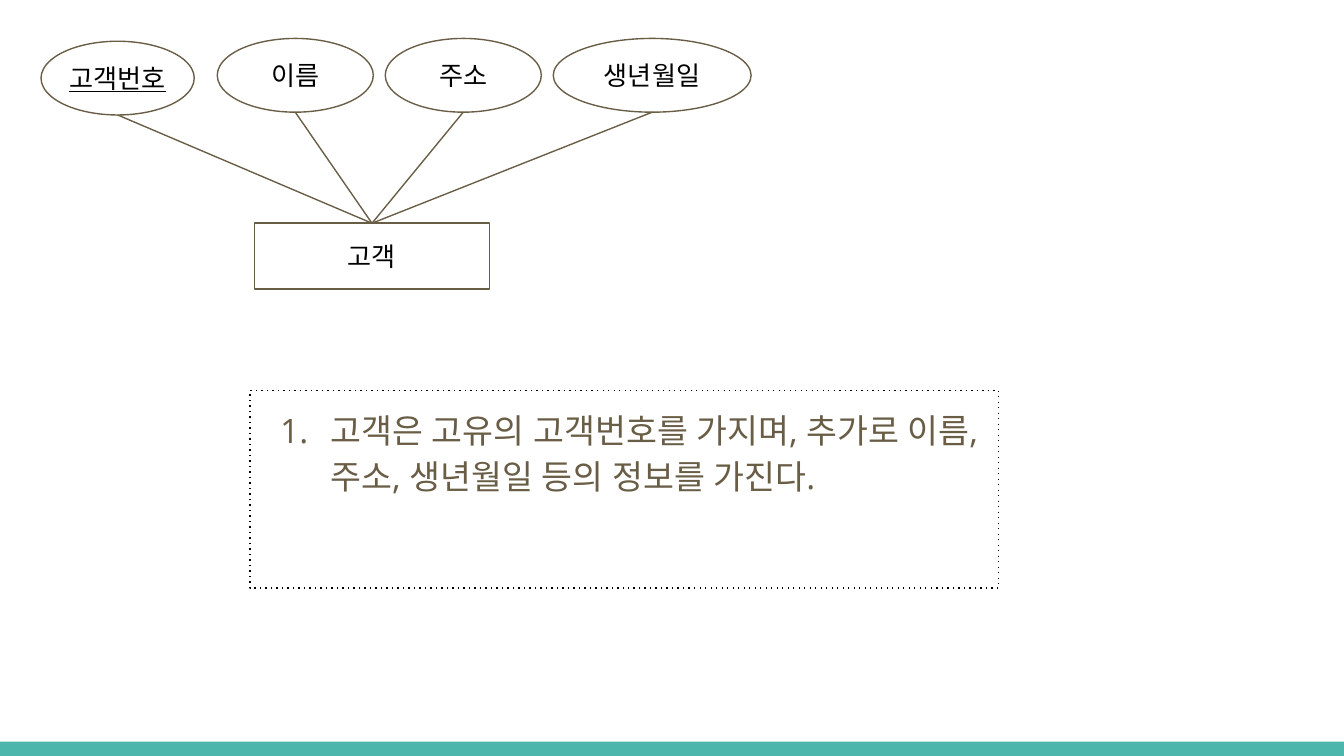
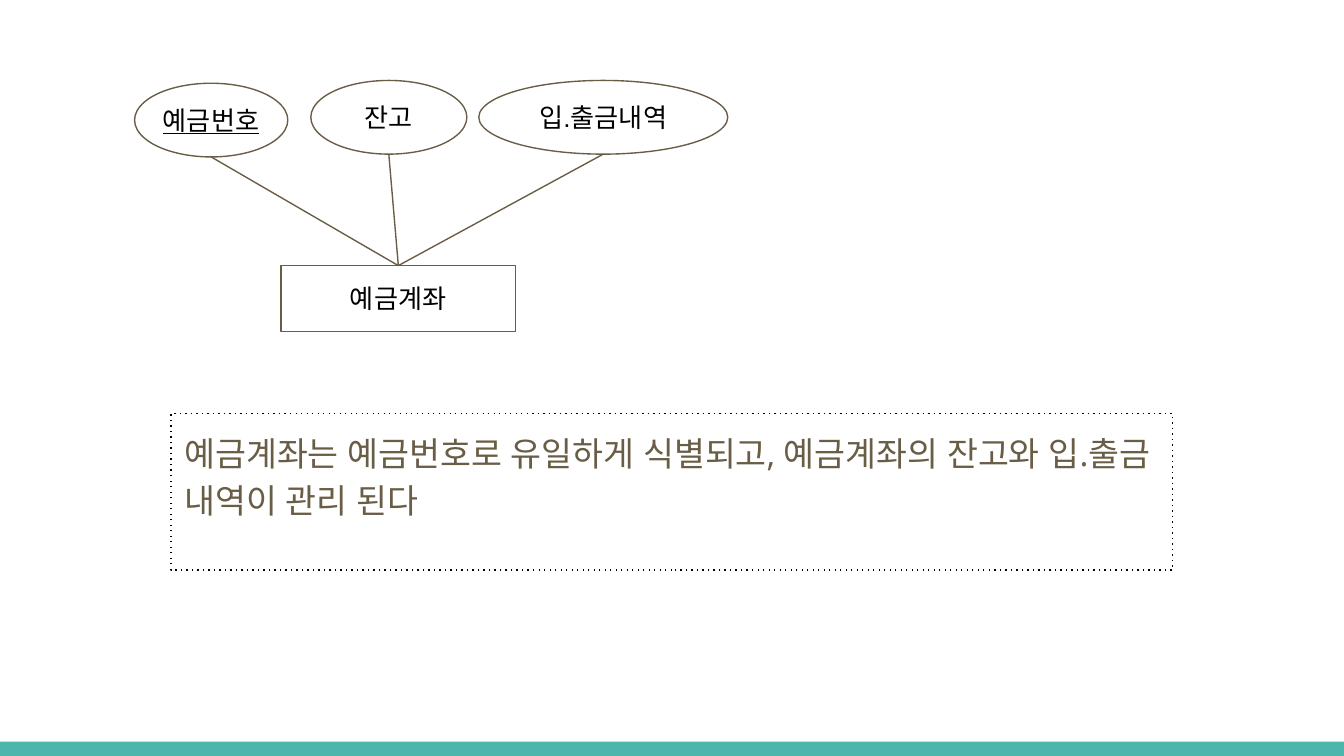
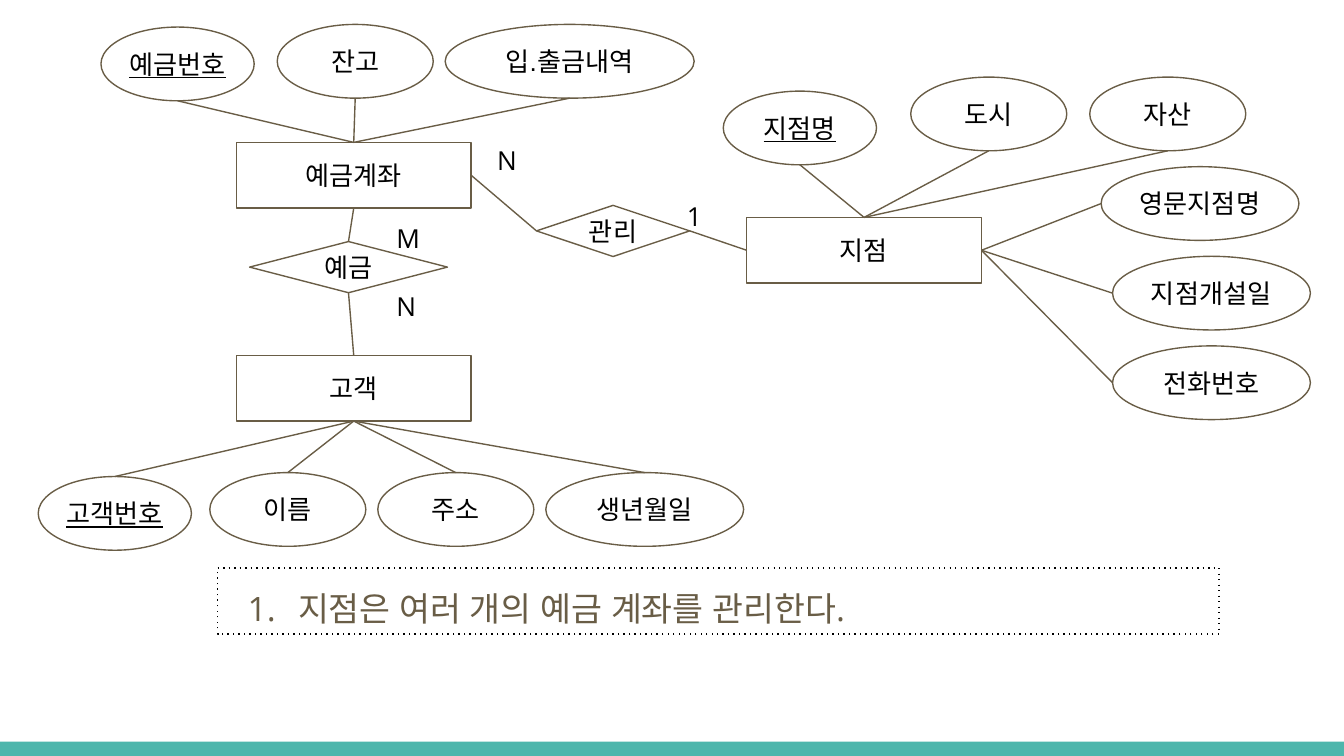
from lxml import etree
from pptx import Presentation
from pptx.dml.color import RGBColor
from pptx.enum import dml, shapes, text
from pptx.oxml.ns import qn
from pptx.util import Pt

TEAL = RGBColor(0x4D, 0xB6, 0xAC)
BROWN = RGBColor(0x69, 0x5D, 0x46)
BLACK = RGBColor(0, 0, 0)
WHITE = RGBColor(0xFF, 0xFF, 0xFF)

SLIDE_WIDTH, SLIDE_HEIGHT = 720, 405
BAND_TOP = 397.4
ENTITY_WIDTH, ENTITY_HEIGHT = 125.8, 35.2
OVAL_HEIGHT = 39.5
RELATION_HEIGHT = 27.4
KEY, SHORT, WIDE, LONG = 82.1, 83.6, 106, 133.4
INSET = 7.2
TOP, LEFT, BOTTOM, RIGHT = range(4)

CUSTOMER = [("고객번호", KEY), ("이름", SHORT), ("주소", SHORT), ("생년월일", WIDE)]
ACCOUNT = [("예금번호", KEY), ("잔고", SHORT), ("입.출금내역", LONG)]
BRANCH = [("지점명", KEY), ("도시", SHORT), ("자산", SHORT)]


def attribute_row(attributes, key_place, row_place, gap=6.4):
    placed = [(*attributes[0], *key_place)]
    left, top = row_place
    for name, width in attributes[1:]:
        placed.append((name, width, left, top))
        left += width + gap
    return placed


SLIDES = [
    {
        "entities": {"고객": (136.4, 119.6)},
        "attributes": [
            ("고객", TOP, attribute_row(CUSTOMER, (22, 22.1), (116.4, 20.6))),
        ],
        "note": ("고객은 고유의 고객번호를 가지며, 추가로 이름, 주소, 생년월일 등의 정보를 가진다.",
                 (134, 209.1, 401, 106), True),
    },
    {
        "entities": {"예금계좌": (150.5, 142.3)},
        "attributes": [
            ("예금계좌", TOP, attribute_row(ACCOUNT, (72.1, 44.6), (166.5, 43.1))),
        ],
        "note": ("예금계좌는 예금번호로 유일하게 식별되고, 예금계좌의 잔고와 입.출금 내역이 관리 된다",
                 (91.7, 221.6, 536.6, 83.7), False),
    },
    {
        "entities": {"예금계좌": (126.6, 76.3), "고객": (126.6, 190.4), "지점": (400, 116.5)},
        "attributes": [
            ("예금계좌", TOP, attribute_row(ACCOUNT, (54.1, 14.5), (148.5, 13.1))),
            ("고객", BOTTOM, attribute_row(CUSTOMER, (20.5, 255.3), (112.4, 253.2))),
            ("지점", TOP, attribute_row(BRANCH, (387.5, 48.8), (487.9, 41.3), 12.3)),
            ("지점", RIGHT, [("영문지점명", WIDE, 589.9, 89.3),
                           ("지점개설일", WIDE, 596, 137.3),
                           ("전화번호", WIDE, 596, 185.3)]),
        ],
        "relations": [
            ("예금", (133.7, 129.4, WIDE), [(TOP, "예금계좌", BOTTOM), (BOTTOM, "고객", TOP)]),
            ("관리", (287.4, 110, KEY), [(LEFT, "예금계좌", RIGHT), (RIGHT, "지점", LEFT)]),
        ],
        "cardinalities": [("N", 205.2, 148.1), ("M", 205.2, 112.1),
                          ("N", 259.2, 70), ("1", 360.9, 100.1)],
        "note": ("지점은 여러 개의 예금 계좌를 관리한다.", (116.6, 304.3, 536.6, 35.3), True),
    },
]


def add_text(paragraph, content, font_name, size, color, underline=None):
    run = paragraph.add_run()
    run.text = content
    run.font.name = font_name
    run.font.size = Pt(size)
    run.font.color.rgb = color
    run.font.underline = underline
    properties = run._r.get_or_add_rPr()
    properties.set("lang", "ko")
    for script in ("a:ea", "a:cs"):
        etree.SubElement(properties, qn(script), typeface=font_name)


def set_insets(frame, inset):
    frame.word_wrap = True
    frame.margin_left = frame.margin_top = Pt(inset)
    frame.margin_right = frame.margin_bottom = Pt(inset)


def add_plain_shape(slide, kind, box, fill, line):
    shape = slide.shapes.add_shape(kind, *map(Pt, box))
    shape.shadow.inherit = False
    for part, color in ((shape.fill, fill), (shape.line.fill, line)):
        if color is None:
            part.background()
        else:
            part.solid()
            part.fore_color.rgb = color
    if line is not None:
        shape.line.width = Pt(0.75)
    return shape


def add_node(slide, kind, name, box, underline=None):
    node = add_plain_shape(slide, kind, box, WHITE, BROWN)
    set_insets(node.text_frame, 0)
    node.text_frame.vertical_anchor = text.MSO_ANCHOR.MIDDLE
    paragraph = node.text_frame.paragraphs[0]
    paragraph.alignment = text.PP_ALIGN.CENTER
    add_text(paragraph, name, "Arial", 14, BLACK, underline)
    return node


def side_middle(shape, side):
    across = {LEFT: 0, RIGHT: shape.width}.get(side, shape.width // 2)
    down = {TOP: 0, BOTTOM: shape.height}.get(side, shape.height // 2)
    return shape.left + across, shape.top + down


def add_link(slide, start, start_side, entity, entity_side):
    connector = slide.shapes.add_connector(
        shapes.MSO_CONNECTOR.STRAIGHT,
        *side_middle(start, start_side), *side_middle(entity, entity_side))
    if start.auto_shape_type == shapes.MSO_SHAPE.DIAMOND:
        connector.begin_connect(start, start_side)
    connector.end_connect(entity, entity_side)
    connector.line.color.rgb = BROWN
    connector.line.width = Pt(0.75)
    etree.SubElement(connector.element.spPr, qn("a:effectLst"))


def number_paragraph(paragraph):
    properties = paragraph._p.get_or_add_pPr()
    properties.set("marL", str(Pt(36)))
    properties.set("indent", str(-Pt(27)))
    color = etree.SubElement(properties, qn("a:buClr"))
    etree.SubElement(color, qn("a:srgbClr"), val=str(BROWN))
    etree.SubElement(properties, qn("a:buFont"), typeface="Open Sans")
    etree.SubElement(properties, qn("a:buAutoNum"), type="arabicPeriod")


def add_note(slide, content, box, numbered):
    note = add_plain_shape(slide, shapes.MSO_SHAPE.RECTANGLE, box, None, BLACK)
    note.line.dash_style = dml.MSO_LINE.ROUND_DOT
    note.element.spPr.find(".//" + qn("a:prstDash")).set("val", "dot")
    set_insets(note.text_frame, INSET)
    note.text_frame.vertical_anchor = text.MSO_ANCHOR.TOP
    paragraph = note.text_frame.paragraphs[0]
    paragraph.alignment = text.PP_ALIGN.LEFT
    if numbered:
        number_paragraph(paragraph)
    else:
        paragraph.space_after = Pt(16)
    paragraph.line_spacing = 1.15
    add_text(paragraph, content, "Open Sans", 18, BROWN)


def add_cardinality(slide, content, left, top):
    label = slide.shapes.add_textbox(Pt(left), Pt(top), Pt(23), Pt(23))
    set_insets(label.text_frame, INSET)
    add_text(label.text_frame.paragraphs[0], content, "Open Sans", 14, BLACK)


def add_master_band(presentation, slide):
    box = (0, BAND_TOP, SLIDE_WIDTH, SLIDE_HEIGHT - BAND_TOP)
    band = add_plain_shape(slide, shapes.MSO_SHAPE.RECTANGLE, box, TEAL, None)
    band.element.nvSpPr.cNvPr.set("id", "20")
    presentation.slide_master.shapes.element.append(band.element)


def draw_diagram(slide, diagram):
    add_note(slide, *diagram["note"])
    entities = {
        name: add_node(slide, shapes.MSO_SHAPE.RECTANGLE, name,
                       (*place, ENTITY_WIDTH, ENTITY_HEIGHT))
        for name, place in diagram["entities"].items()
    }
    for entity, side, attributes in diagram["attributes"]:
        for name, width, left, top in attributes:
            oval = add_node(slide, shapes.MSO_SHAPE.OVAL, name,
                            (left, top, width, OVAL_HEIGHT), width == KEY or None)
            add_link(slide, oval, (side + 2) % 4, entities[entity], side)
    for name, (left, top, width), links in diagram.get("relations", []):
        relation = add_node(slide, shapes.MSO_SHAPE.DIAMOND, name,
                            (left, top, width, RELATION_HEIGHT))
        for side, entity, entity_side in links:
            add_link(slide, relation, side, entities[entity], entity_side)
    for cardinality in diagram.get("cardinalities", []):
        add_cardinality(slide, *cardinality)


def main():
    presentation = Presentation()
    presentation.slide_width = Pt(SLIDE_WIDTH)
    presentation.slide_height = Pt(SLIDE_HEIGHT)
    blank = presentation.slide_layouts[6]
    for number, diagram in enumerate(SLIDES):
        slide = presentation.slides.add_slide(blank)
        if number == 0:
            add_master_band(presentation, slide)
        draw_diagram(slide, diagram)
    presentation.save("out.pptx")


if __name__ == "__main__":
    main()
